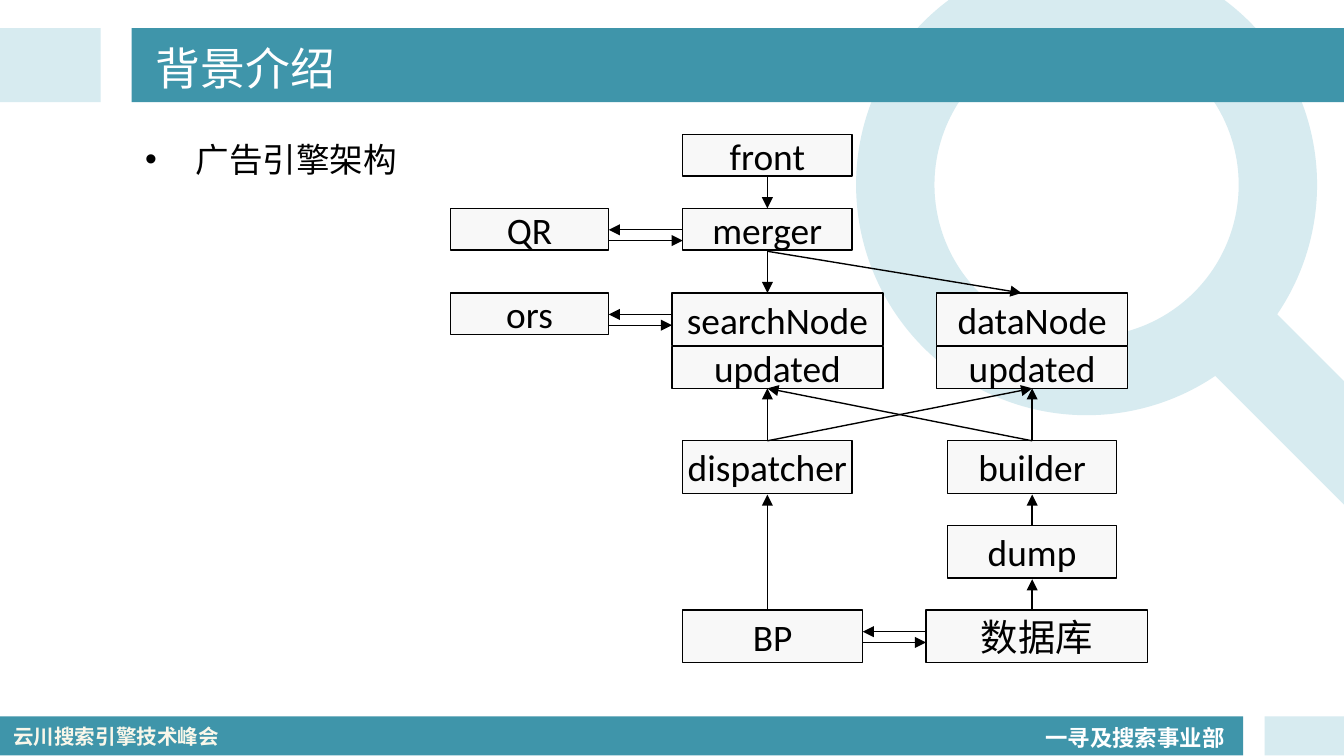
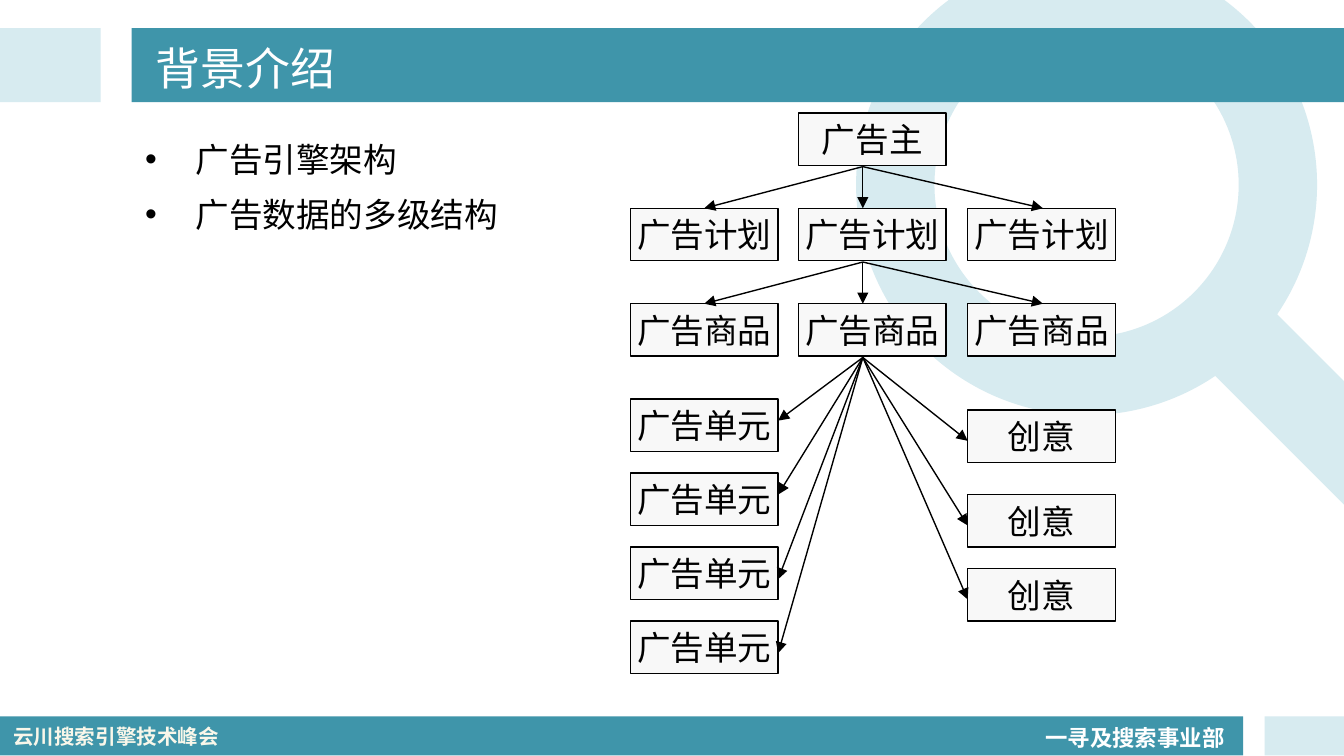
import lxml.etree
import pptx
import pptx.dml.color
import pptx.enum.shapes
import pptx.enum.text
import pptx.oxml.ns
import pptx.util

Inches = pptx.util.Inches
Pt = pptx.util.Pt
qn = pptx.oxml.ns.qn
SHAPE = pptx.enum.shapes.MSO_SHAPE
ALIGN = pptx.enum.text.PP_ALIGN
ANCHOR = pptx.enum.text.MSO_ANCHOR
FIT = pptx.enum.text.MSO_AUTO_SIZE

COLORS = {"teal": "3F95AA", "pale": "D7EBF0", "white": "FFFFFF",
          "cream": "F9F7EA", "box": "F8F8F8", "black": "000000"}
LATIN, CJK = "Calibri", "Noto Sans CJK SC"


def rgb(name):
    return pptx.dml.color.RGBColor.from_string(COLORS[name])


def set_all(obj, values):
    for key, value in values.items():
        setattr(obj, key, value)


class Deck:
    def __init__(self):
        self.prs = pptx.Presentation()
        # Widescreen, 16:9
        set_all(self.prs, {"slide_width": Inches(10), "slide_height": Inches(10) * 9 // 16})
        self.s = None

    def text(self, sp, lines, size, color, font=LATIN, bold=False, frame=None, para=None):
        tf = sp.text_frame
        set_all(tf, frame or {})
        for i, line in enumerate(lines):
            p = tf.add_paragraph() if i else tf.paragraphs[0]
            set_all(p, para or {})
            r = p.add_run()
            r.text = line
            set_all(r.font, {"size": Pt(size), "bold": bold, "name": font})
            r.font.color.rgb = rgb(color)
            lxml.etree.SubElement(r.font._element, qn("a:ea"), typeface=CJK)

    def shape(self, kind, at, fill, line=None, adj=None, rotation=0):
        sp = self.s.shapes.add_shape(kind, *map(Inches, at))
        sp.shadow.inherit = False
        sp.rotation = rotation
        sp.fill.solid()
        sp.fill.fore_color.rgb = rgb(fill)
        if line:
            sp.line.color.rgb = rgb(line)
            sp.line.width = Pt(0.75)
        else:
            sp.line.fill.background()
        if adj is not None:
            sp.adjustments[0] = adj
        return sp

    def footer(self, words, at, size, color, font, wrap, spacing):
        sp = self.s.shapes.add_textbox(*map(Inches, at))
        self.text(sp, [words], size, color, font, True,
                  {"word_wrap": wrap, "auto_size": FIT.SHAPE_TO_FIT_TEXT},
                  {"line_spacing": spacing})

    def placeholder(self, sp, at, *args, **kwargs):
        set_all(sp, dict(zip(("left", "top", "width", "height"), map(Inches, at))))
        self.text(sp, *args, **kwargs)
        sp.element.getparent().append(sp.element)  # bring above the bands

    def slide(self, title, points):
        self.s = self.prs.slides.add_slide(self.prs.slide_layouts[1])
        # Magnifier backdrop
        self.shape(SHAPE.DONUT, (6.37, -0.34, 3.43, 3.43), "pale", adj=0.17)
        self.shape(SHAPE.ROUNDED_RECTANGLE, (8.66, 2.7, 2.14, 0.65), "pale",
                   adj=0.5, rotation=45)
        # Bands and footers
        for at, fill in (((0, 5.33, 9.25, 0.29), "teal"), ((9.41, 5.33, 0.59, 0.29), "pale"),
                         ((0, 0.21, 0.75, 0.55), "pale"), ((0.98, 0.21, 9.02, 0.55), "teal")):
            self.shape(SHAPE.RECTANGLE, at, fill)
        self.footer("一寻及搜索事业部", (7.68, 5.3, 1.55, 0.33), 12, "white", LATIN, False, 1.2)
        self.footer("云川搜索引擎技术峰会", (0, 5.34, 1.77, 0.29), 11, "cream", CJK, True, 1.0)
        # Title and list
        self.placeholder(self.s.shapes.title, (1.06, 0.23, 8.44, 0.54), [title], 24, "white",
                         frame={"vertical_anchor": ANCHOR.MIDDLE, "auto_size": FIT.NONE},
                         para={"alignment": ALIGN.LEFT})
        self.placeholder(self.s.placeholders[1], (0.98, 0.92, 8.52, 4.1), points, 18, "black",
                         frame={"auto_size": FIT.NONE}, para={"line_spacing": 1.2})

    def box(self, label, x, y, w, h=0.39, size=20):
        sp = self.shape(SHAPE.RECTANGLE, (x, y, w, h), "box", "black")
        self.text(sp, [label], size, "black",
                  frame={"word_wrap": False, "vertical_anchor": ANCHOR.MIDDLE},
                  para={"alignment": ALIGN.CENTER})

    def arrow(self, start, end):
        c = self.s.shapes.add_connector(pptx.enum.shapes.MSO_CONNECTOR.STRAIGHT,
                                        *map(Inches, (*start, *end)))
        c.line.color.rgb = rgb("black")
        c.line.width = Pt(0.75)
        lxml.etree.SubElement(c.line._get_or_add_ln(), qn("a:tailEnd"), type="triangle")
        lxml.etree.SubElement(c.element.spPr, qn("a:effectLst"))

    def exchange(self, left, right, y):
        self.arrow((right, y), (left, y))
        self.arrow((left, y + 0.08), (right, y + 0.08))

    def fan(self, start, ends):
        for end in ends:
            self.arrow(start, end)


def architecture(deck):
    deck.slide("背景介绍", ["广告引擎架构"])
    low = 0.31
    for spot in (("front", 5.08, 1, 1.26, low), ("merger", 5.08, 1.55, 1.26, low),
                 ("QR", 3.35, 1.55, 1.18, low), ("ors", 3.35, 2.18, 1.18, low),
                 ("searchNode", 5, 2.18, 1.57), ("dataNode", 6.97, 2.18, 1.42),
                 ("updated", 5, 2.58, 1.57, low), ("updated", 6.97, 2.58, 1.42, low),
                 ("dispatcher", 5.08, 3.28, 1.26), ("builder", 7.05, 3.28, 1.26),
                 ("dump", 7.05, 3.91, 1.26), ("BP", 5.08, 4.54, 1.34),
                 ("数据库", 6.89, 4.54, 1.65)):
        deck.box(*spot)
    # Query flow down, data flow up
    search, data = 5.71, 7.68
    deck.arrow((search, 1.32), (search, 1.55))
    deck.fan((search, 1.87), [(search, 2.18), (7.6, 2.18)])
    for x in (search, data):
        deck.fan((x, 3.28), [(search, 2.89), (data, 2.89)])
    for x, y1, y2 in ((search, 4.54, 3.68), (data, 3.91, 3.68), (data, 4.54, 4.31)):
        deck.arrow((x, y1), (x, y2))
    # Two-way calls
    for pair in ((4.53, 5.08, 1.71), (4.53, 5, 2.34), (6.42, 6.89, 4.7)):
        deck.exchange(*pair)


def hierarchy(deck):
    deck.slide("背景介绍", ["广告引擎架构", "广告数据的多级结构"])
    w, h, size, hub = 1.1, 0.39, 18, 6.42
    columns = left, middle, right = 4.69, 5.94, 7.2
    top, step = 0.84, 0.71
    # Advertiser, plans and goods
    deck.box("广告主", middle, top, w, h, size)
    for level, label in enumerate(("广告计划", "广告商品"), 1):
        y = top + level * step
        for x in columns:
            deck.box(label, x, y, w, h, size)
        deck.fan((hub, y - 0.31), [(x, y) for x in (hub, 5.24, 7.76)])
    # Units on the left, creatives on the right
    root = (hub, 2.66)
    for i, target in enumerate((3.13, 3.68, 4.31, 4.86)):
        deck.box("广告单元", left, 2.97 + 0.55 * i, w, h, size)
        deck.arrow(root, (left + w, target))
    for y in (3.05, 3.68, 4.23):
        deck.box("创意", right, y, w, h, size)
        deck.arrow(root, (right, y + 0.23))


def main():
    deck = Deck()
    architecture(deck)
    hierarchy(deck)
    deck.prs.save("out.pptx")


if __name__ == "__main__":
    main()
